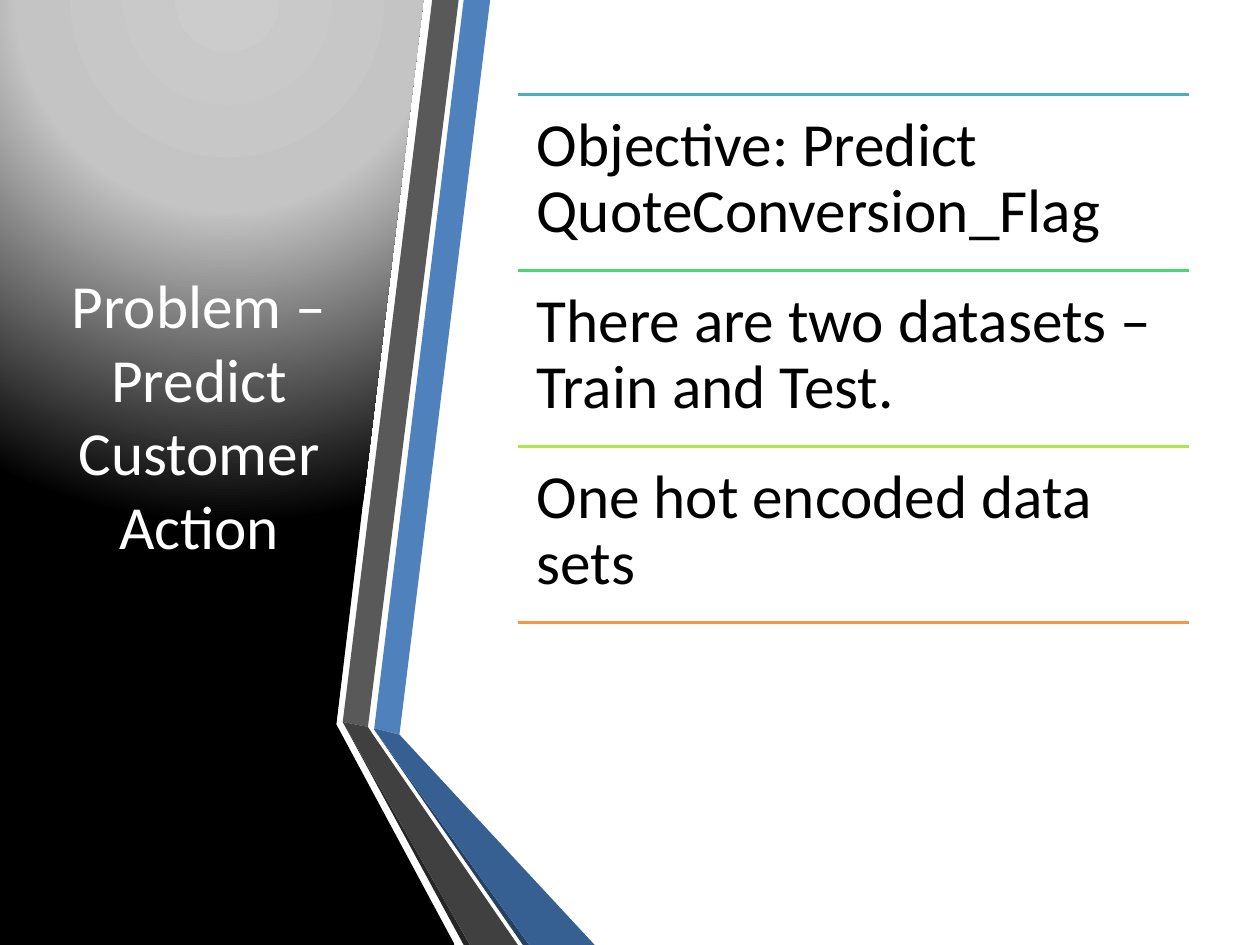
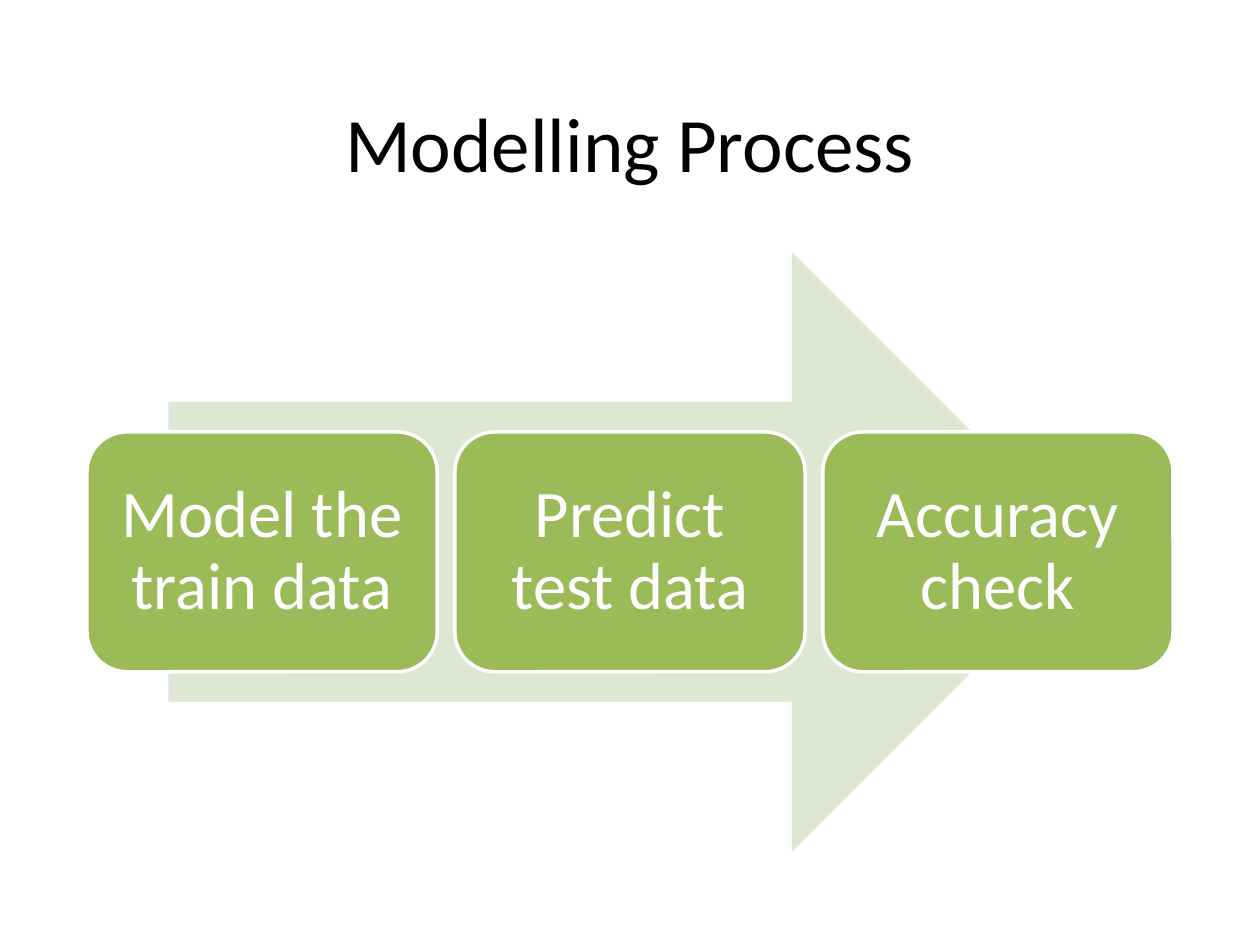
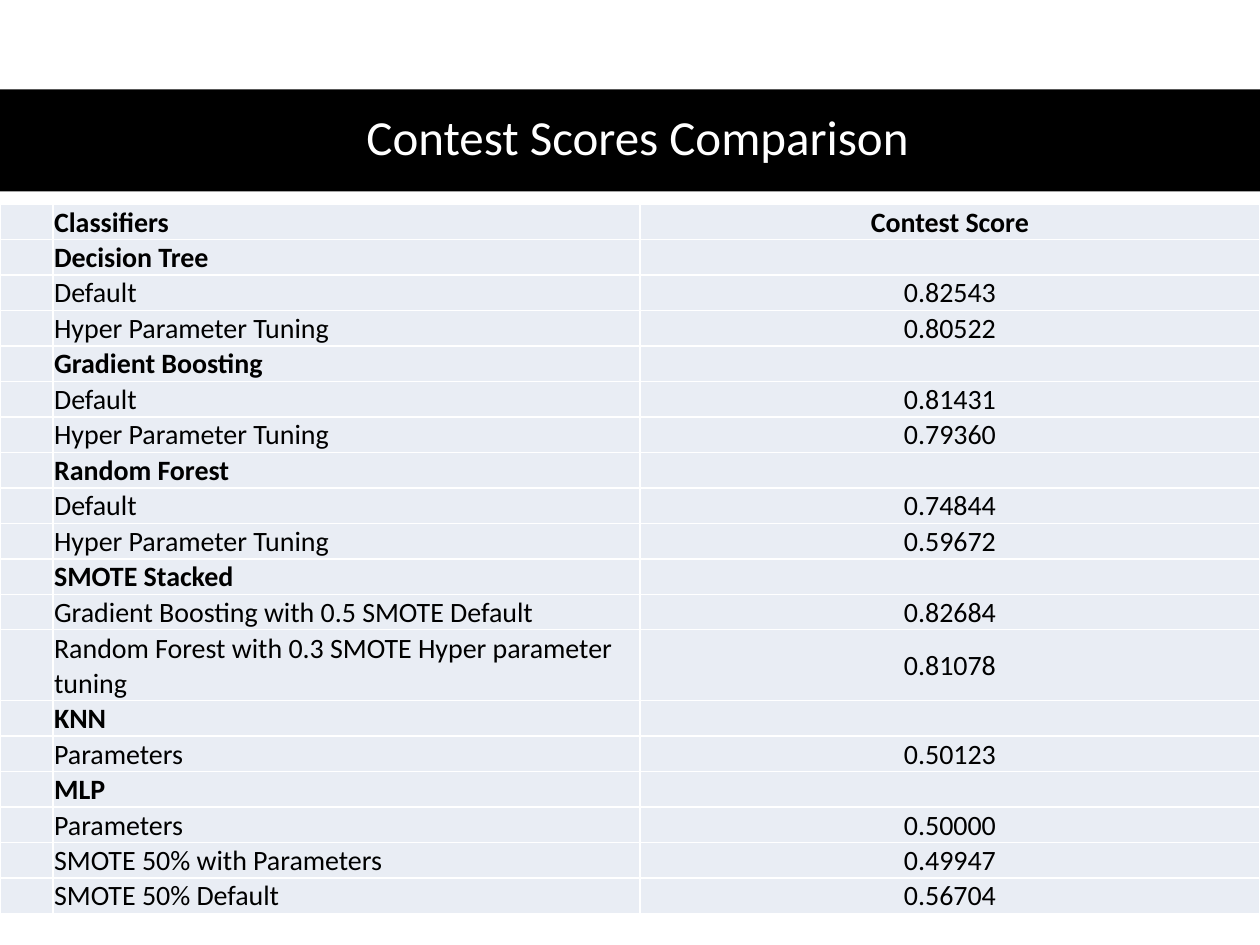
from dataclasses import dataclass

from lxml.etree import SubElement
from pptx import Presentation
from pptx.dml.color import RGBColor
from pptx.enum.shapes import MSO_CONNECTOR, MSO_SHAPE
from pptx.enum.text import MSO_ANCHOR, PP_ALIGN
from pptx.oxml import parse_xml
from pptx.oxml.ns import nsdecls, qn
from pptx.util import Inches, Pt

FONT = "Calibri"
BLACK, WHITE = "000000", "FFFFFF"
CARD_GREEN, ARROW_GREEN = "9BBB59", "DEE7D1"
CELL_BLUE = "E9EDF4"
RULE_COLOURS = ["4BACC6", "47D872", "ACE946", "F79646"]
GRID_UNIT = Inches(0.1)  # the slide is 100 columns by 75 rows

PANEL_OUTLINE = [(26.4, 0), (33.6, 0), (26.7, 57.5), (36.1, 75), (0, 75), (0, 0)]
RIBBONS = [
    ("4F81BD", [(29.7, 57.8), (31.7, 58.3), (38.9, 0), (36.8, 0)]),
    ("595959", [(36.4, 0), (34.3, 0), (27.2, 57.3), (29.2, 57.7)]),
    ("262626", [(27.2, 57.3), (36.8, 75), (37.3, 75)]),
    ("254061", [(29.7, 57.9), (41.5, 75), (42, 75)]),
    ("376092", [(29.7, 57.9), (42, 75), (47.2, 75), (31.7, 58.3), (29.7, 57.8)]),
    ("404040", [(41.1, 75), (29.6, 58.3), (29.2, 57.7), (27.2, 57.3), (37.3, 75)]),
]
OBJECTIVES = [
    "Objective: Predict QuoteConversion_Flag",
    "There are two datasets –Train and Test.",
    "One hot encoded data sets",
]
STEPS = ["Model the train data", "Predict test data", "Accuracy check"]
SCORES = [
    ("Classifiers", "Contest Score"),
    ("Decision Tree", ""),
    ("Default", "0.82543"),
    ("Hyper Parameter Tuning", "0.80522"),
    ("Gradient Boosting", ""),
    ("Default", "0.81431"),
    ("Hyper Parameter Tuning", "0.79360"),
    ("Random Forest", ""),
    ("Default", "0.74844"),
    ("Hyper Parameter Tuning", "0.59672"),
    ("SMOTE Stacked", ""),
    ("Gradient Boosting with 0.5 SMOTE Default", "0.82684"),
    ("Random Forest with 0.3 SMOTE Hyper parameter tuning", "0.81078"),
    ("KNN", ""),
    ("Parameters", "0.50123"),
    ("MLP", ""),
    ("Parameters", "0.50000"),
    ("SMOTE 50% with Parameters", "0.49947"),
    ("SMOTE 50% Default", "0.56704"),
]
TALL_ROW = 12


@dataclass
class Box:
    """A rectangle in grid columns and rows."""
    left: float
    top: float
    width: float
    height: float

    def lengths(self):
        """Give left, top, width and height as slide lengths."""
        return [grid(value) for value in (self.left, self.top, self.width, self.height)]


def grid(count):
    """Turn a number of grid units into a length."""
    return round(count * GRID_UNIT)


def colour(hex_text):
    """Turn a hex string into a colour."""
    return RGBColor.from_string(hex_text)


def paint(shape, fill, line=None):
    """Give a shape a flat fill and an optional 2 pt outline, without shadow."""
    shape.shadow.inherit = False
    shape.fill.solid()
    shape.fill.fore_color.rgb = colour(fill)
    if line:
        shape.line.color.rgb = colour(line)
        shape.line.width = Pt(2)
    else:
        shape.line.fill.background()


def add_run(paragraph, text, size, text_colour, bold=False):
    """Add one run in the deck's font."""
    run = paragraph.add_run()
    run.text = text
    run.font.name, run.font.size, run.font.bold = FONT, Pt(size), bold
    run.font.color.rgb = colour(text_colour)


def write(frame, text, size, text_colour, align, anchor, inset=None, spacing=None):
    """Fill a text frame with one paragraph; inset is in grid units."""
    frame.word_wrap = True
    frame.vertical_anchor = anchor
    if inset is not None:
        frame.margin_left = frame.margin_right = grid(inset)
        frame.margin_top = frame.margin_bottom = grid(inset)
    paragraph = frame.paragraphs[0]
    paragraph.alignment = align
    paragraph.line_spacing = spacing
    add_run(paragraph, text, size, text_colour)


def add_title(slide, box, text, size, text_colour, spacing=None):
    """Place a centred title and return its frame."""
    frame = slide.shapes.add_textbox(*box.lengths()).text_frame
    write(frame, text, size, text_colour, PP_ALIGN.CENTER, MSO_ANCHOR.MIDDLE, spacing=spacing)
    return frame


def add_outline(slide, box, points, fill):
    """Draw a closed polygon whose points count from the box's corner."""
    corners = [(grid(box.left + x), grid(box.top + y)) for x, y in points]
    builder = slide.shapes.build_freeform(*corners[0], scale=1.0)
    builder.add_line_segments(corners[1:], close=True)
    shape = builder.convert_to_shape()
    paint(shape, fill)
    return shape


def glow(shape):
    """Replace the fill by a circular gradient centred above the shape."""
    stops = "".join(
        f'<a:gs pos="{share * 1000}"><a:srgbClr val="{shade}"/></a:gs>'
        for share, shade in [(0, "CCCCCC"), (40, "C4C4C4"), (100, BLACK)])
    gradient = parse_xml(
        f'<a:gradFill {nsdecls("a")} rotWithShape="1"><a:gsLst>{stops}</a:gsLst>'
        '<a:path path="circle"><a:fillToRect l="50000" t="-80000" r="50000" b="180000"/>'
        '</a:path></a:gradFill>')
    properties = shape.fill._xPr
    properties.replace(properties.find(qn("a:solidFill")), gradient)


def add_side_panel(slide, box, title):
    """Draw the glowing panel, its folded ribbons and the title on it."""
    glow(add_outline(slide, box, PANEL_OUTLINE, BLACK))
    for fill, points in RIBBONS:
        add_outline(slide, box, points, fill)
    title_box = Box(box.left + 4.4, box.top + 7.5, 22.8, 55.8)
    add_title(slide, title_box, title, 35, WHITE).margin_bottom = grid(5.5)


def add_rule(slide, left, right, top, line):
    """Draw one level line."""
    rule = slide.shapes.add_connector(
        MSO_CONNECTOR.STRAIGHT, grid(left), grid(top), grid(right), grid(top))
    rule.line.color.rgb = colour(line)
    rule.line.width = Pt(2)
    SubElement(rule._element.spPr, qn("a:effectLst"))


def add_ruled_list(slide, box, items):
    """Stack items in equal rows with a coloured rule around each."""
    row = box.height / len(items)
    for index, line in enumerate(RULE_COLOURS):
        top = box.top + index * row
        add_rule(slide, box.left, box.left + box.width, top, line)
        if index < len(items):
            area = Box(box.left, top, box.width, row)
            frame = slide.shapes.add_textbox(*area.lengths()).text_frame
            write(frame, items[index], 35, BLACK, PP_ALIGN.LEFT, MSO_ANCHOR.TOP, 1.5, 0.9)


def add_process(slide, box, steps):
    """Lay equal cards in a row across a broad arrow."""
    arrow_box = Box(box.left + 0.075 * box.width, box.top, 0.85 * box.width, box.height)
    arrow = slide.shapes.add_shape(MSO_SHAPE.RIGHT_ARROW, *arrow_box.lengths())
    paint(arrow, ARROW_GREEN)
    gap = 1.4
    width = (box.width - gap * (len(steps) - 1)) / len(steps)
    for index, step in enumerate(steps):
        card_box = Box(box.left + index * (width + gap), box.top + 0.3 * box.height,
                       width, 0.4 * box.height)
        card = slide.shapes.add_shape(MSO_SHAPE.ROUNDED_RECTANGLE, *card_box.lengths())
        paint(card, CARD_GREEN, WHITE)
        write(card.text_frame, step, 38, WHITE, PP_ALIGN.CENTER, MSO_ANCHOR.MIDDLE, 1.6, 0.9)


def add_title_band(slide, box, title):
    """Draw a black band with a white title."""
    band = slide.shapes.add_shape(MSO_SHAPE.RECTANGLE, *box.lengths())
    paint(band, BLACK)
    title_box = Box(box.left + 4.6, box.top - 0.1, 0.92 * box.width, box.height)
    add_title(slide, title_box, title, 28, WHITE, 0.9)


def style_cell(cell, text, bold, align, anchor):
    """Write one cell and give it thin margins, white borders and a fill."""
    cell.margin_left = cell.margin_right = cell.margin_top = grid(0.1)
    cell.margin_bottom = 0
    cell.vertical_anchor = anchor
    paragraph = cell.text_frame.paragraphs[0]
    paragraph.alignment = align
    if text:
        add_run(paragraph, text, 16, BLACK, bold)
    else:
        SubElement(paragraph._p, qn("a:endParaRPr"), sz="1600")
    properties = cell._tc.get_or_add_tcPr()
    for side in ("lnL", "lnR", "lnT", "lnB"):
        properties.append(parse_xml(
            f'<a:{side} {nsdecls("a")} w="12700"><a:solidFill>'
            f'<a:srgbClr val="{WHITE}"/></a:solidFill></a:{side}>'))
    cell.fill.solid()
    cell.fill.fore_color.rgb = colour(CELL_BLUE)


def add_score_table(slide, box, scores):
    """Place the score table; one row is twice as tall as the others."""
    table = slide.shapes.add_table(len(scores), 3, *box.lengths()).table
    table.first_row = table.horz_banding = False
    for column, share in zip(table.columns, (0.042, 0.466, 0.492)):
        column.width = grid(share * box.width)
    row_height = box.height / (len(scores) + 1)
    for index, (name, score) in enumerate(scores):
        table.rows[index].height = grid(row_height * (2 if index == TALL_ROW else 1))
        bold = index == 0 or not score
        style_cell(table.cell(index, 0), "", bold, PP_ALIGN.LEFT, MSO_ANCHOR.BOTTOM)
        style_cell(table.cell(index, 1), name, bold, PP_ALIGN.LEFT, MSO_ANCHOR.BOTTOM)
        style_cell(table.cell(index, 2), score, bold, PP_ALIGN.CENTER, MSO_ANCHOR.MIDDLE)


def add_slide(presentation):
    """Add a blank slide with a white background."""
    slide = presentation.slides.add_slide(presentation.slide_layouts[6])
    slide.background.fill.solid()
    slide.background.fill.fore_color.rgb = colour(WHITE)
    return slide


def build():
    """Build and save the three slides."""
    presentation = Presentation()
    presentation.slide_width, presentation.slide_height = grid(100), grid(75)

    problem = add_slide(presentation)
    add_side_panel(problem, Box(0, 0, 47.2, 75), "Problem – Predict Customer Action")
    add_ruled_list(problem, Box(41.1, 7.5, 53.3, 41.9), OBJECTIVES)

    process = add_slide(presentation)
    add_title(process, Box(6.9, 4, 86.2, 14.5), "Modelling Process", 44, BLACK)
    add_process(process, Box(6.9, 20, 86.2, 47.6), STEPS)

    comparison = add_slide(presentation)
    add_title_band(comparison, Box(0, 7.1, 100, 8.1), "Contest Scores Comparison")
    add_score_table(comparison, Box(0, 16.2, 100, 56.3), SCORES)

    presentation.save("out.pptx")


build()
